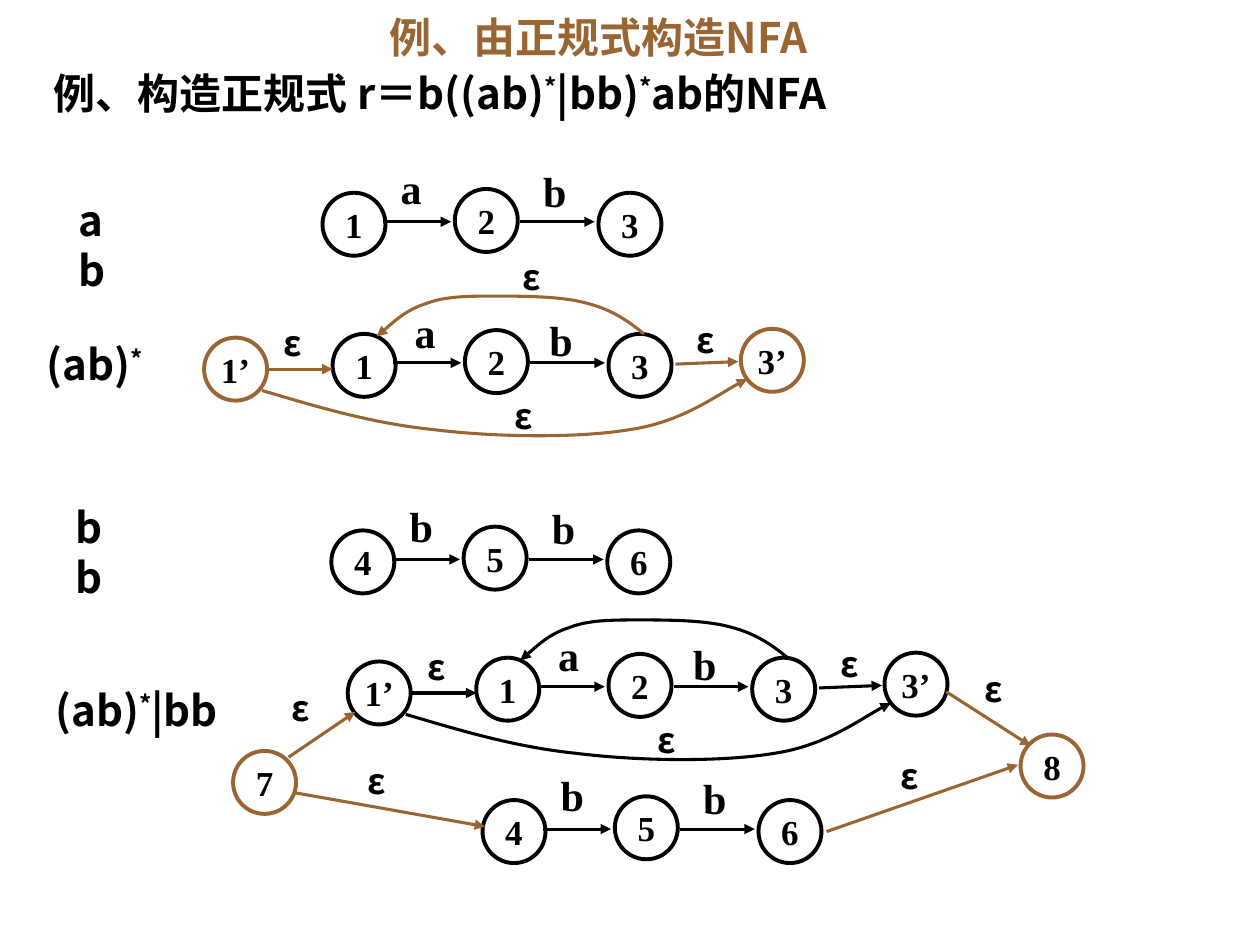
from dataclasses import dataclass

from lxml.etree import SubElement
from pptx import Presentation
from pptx.dml.color import RGBColor as Rgb
from pptx.enum.shapes import MSO_CONNECTOR as Link, MSO_SHAPE as Preset
from pptx.enum.text import MSO_ANCHOR as Anchor, MSO_AUTO_SIZE as Fit, PP_ALIGN as Align
from pptx.oxml.ns import qn
from pptx.util import Emu, Pt

PX = 9144  # 100 px to the inch
COLORS = {"ink": "000000", "new": "996633"}
SANS, SERIF = "Noto Sans CJK SC", "Times New Roman"
NODE = 50

Point = tuple[int, int]


@dataclass(frozen=True)
class Style:
    font: str
    size: int
    color: str = "ink"


@dataclass(frozen=True)
class State:
    name: str
    at: Point
    color: str = "ink"


@dataclass(frozen=True)
class Edge:
    start: Point
    end: Point
    color: str = "ink"


@dataclass(frozen=True)
class Label:
    text: str
    at: Point
    size: Point
    style: Style
    wrap: bool = False


@dataclass(frozen=True)
class Chain:
    """Three states joined by two labelled edges."""
    at: Point
    names: str
    symbols: str
    symbol_offsets: tuple[Point, Point]


HEADING = Style(SANS, 24)
TITLE = Style(SANS, 24, "new")
SYMBOL = Style(SERIF, 24)
STATE_NAME = Style(SERIF, 20)
EPSILON = Style(SANS, 20)

FLAT = ((62, -24), (175, -22))
STARRED = ((65, -22), (172, -15))
CHAINS = [
    Chain((256, 153), "123", "ab", FLAT),
    Chain((264, 265), "123", "ab", STARRED),
    Chain((263, 421), "456", "bb", FLAT),
    Chain((378, 522), "123", "ab", STARRED),
    Chain((383, 635), "456", "bb", FLAT),
]
STARS = [((264, 265), "new"), ((378, 522), "ink")]

# Curve points relative to the first state of a starred chain
REPEAT_CURVE = [(247, 0), (235, -10), (222, -19), (203, -24), (183, -30), (151, -30), (129, -30),
                (108, -30), (89, -30), (74, -24), (58, -19), (41, -3), (35, 2)]
SKIP_CURVE = [(-56, 45), (-12, 58), (31, 71), (80, 76), (128, 82), (194, 83), (236, 76),
              (277, 70), (313, 43), (329, 36)]

HEADINGS = [
    Label("ab", (62, 154), (34, 40), HEADING, wrap=True),
    Label("(ab)*", (37, 269), (79, 40), HEADING),
    Label("bb", (60, 398), (34, 40), HEADING, wrap=True),
    Label("(ab)*|bb", (44, 543), (129, 40), HEADING),
]
UNION_STATES = [State("7", (185, 596), "new"), State("8", (810, 583), "new")]
UNION_EDGES = [
    Edge((229, 601), (282, 565), "new"),
    Edge((233, 629), (385, 656), "new"),
    Edge((751, 549), (818, 592), "new"),
    Edge((656, 660), (808, 607), "new"),
]
LOOSE_EPSILONS = [(415, 203), (231, 545), (781, 530), (292, 603), (715, 599)]


def shift(origin: Point, offset: Point) -> Point:
    return origin[0] + offset[0], origin[1] + offset[1]


def emu(*lengths: int) -> list[Emu]:
    return [Emu(length * PX) for length in lengths]


def apply(target, values: dict) -> None:
    for name, value in values.items():
        setattr(target, name, value)


def write(frame, text: str, style: Style, frame_format: dict, para_format: dict) -> None:
    """Fill a text frame, raising every asterisk."""
    apply(frame, frame_format)
    para = frame.paragraphs[0]
    apply(para, para_format)
    for piece in text.replace("*", "\n*\n").split("\n"):
        if not piece:
            continue
        span = para.add_run()
        span.text = piece
        apply(span.font, {"name": style.font, "size": Pt(style.size), "bold": True})
        span.font.color.rgb = Rgb.from_string(COLORS[style.color])
        props = span.font._element
        SubElement(props, qn("a:ea")).set("typeface", style.font)
        if piece == "*":
            props.set("baseline", "30000")


def margins(size: int) -> dict:
    sides = ("left", "right", "top", "bottom")
    return {f"margin_{side}": Emu(size * PX) for side in sides}


def draw_label(page, label: Label) -> None:
    box = page.shapes.add_textbox(*emu(*label.at, *label.size))
    frame_format = margins(0) | {"word_wrap": label.wrap, "auto_size": Fit.SHAPE_TO_FIT_TEXT}
    write(box.text_frame, label.text, label.style, frame_format, {})


def draw_epsilon(page, at: Point) -> None:
    draw_label(page, Label("ε", at, (28, 33), EPSILON))


def draw_state(page, state: State) -> None:
    circle = page.shapes.add_shape(Preset.OVAL, *emu(*state.at, NODE, NODE))
    circle.shadow.inherit = False
    circle.fill.background()
    circle.line.color.rgb = Rgb.from_string(COLORS[state.color])
    circle.line.width = Pt(2.25)
    frame_format = margins(0) | {"vertical_anchor": Anchor.MIDDLE, "word_wrap": True}
    write(circle.text_frame, state.name, STATE_NAME, frame_format, {"alignment": Align.CENTER})


def point_forward(stroke, color: str) -> None:
    """Style a line or curve and put an arrowhead at its end."""
    stroke.line.color.rgb = Rgb.from_string(COLORS[color])
    stroke.line.width = Pt(1.75)
    props = stroke._element.spPr
    SubElement(props.find(qn("a:ln")), qn("a:tailEnd")).set("type", "triangle")
    SubElement(props, qn("a:effectLst"))


def draw_edge(page, edge: Edge) -> None:
    line = page.shapes.add_connector(Link.STRAIGHT, *emu(*edge.start, *edge.end))
    point_forward(line, edge.color)


def draw_curve(page, points: list[Point], color: str) -> None:
    """Draw cubic curves: a start, then two controls and an end for each."""
    start, *rest = points
    builder = page.shapes.build_freeform(*start, scale=PX)
    builder.add_line_segments(rest, close=False)
    curve = builder.convert_to_shape()
    steps = iter(curve._element.xpath(".//a:lnTo"))
    for triple in zip(steps, steps, steps):
        parent = triple[0].getparent()
        bend = SubElement(parent, qn("a:cubicBezTo"))
        for step in triple:
            bend.append(step[0])
            parent.remove(step)
    curve.fill.background()
    point_forward(curve, color)


def draw_chain(page, chain: Chain) -> None:
    for name, offset in zip(chain.names, ((0, 0), (105, -3), (219, 0))):
        draw_state(page, State(name, shift(chain.at, offset)))
    for left, right in ((48, 102), (157, 216)):
        draw_edge(page, Edge(shift(chain.at, (left, 23)), shift(chain.at, (right, 23))))
    for symbol, offset in zip(chain.symbols, chain.symbol_offsets):
        draw_label(page, Label(symbol, shift(chain.at, offset), (19, 40), SYMBOL))


def draw_star(page, origin: Point, color: str) -> None:
    """Add the outer states and ε edges around a starred chain."""
    for name, offset in (("1’", (-102, 3)), ("3’", (324, -4))):
        draw_state(page, State(name, shift(origin, offset), color))
    for start, end in (((-53, 28), (0, 28)), ((272, 24), (322, 22))):
        draw_edge(page, Edge(shift(origin, start), shift(origin, end), color))
    for curve in (REPEAT_CURVE, SKIP_CURVE):
        draw_curve(page, [shift(origin, point) for point in curve], color)
    for offset in ((-39, -10), (289, -12), (144, 48)):
        draw_epsilon(page, shift(origin, offset))


def main() -> None:
    deck = Presentation()
    deck.slide_width, deck.slide_height = emu(1000, 750)
    page = deck.slides.add_slide(deck.slide_layouts[6])

    title = page.shapes.add_textbox(*emu(25, 0, 900, 58))
    write(title.text_frame, "例、由正规式构造NFA", TITLE,
          {"word_wrap": True, "vertical_anchor": Anchor.MIDDLE}, {"alignment": Align.CENTER})
    task = page.shapes.add_textbox(*emu(33, 53, 717, 49))
    write(task.text_frame, "例、构造正规式 r＝b((ab)*|bb)*ab的NFA", HEADING,
          {"word_wrap": True}, {"line_spacing": 0.9})

    for chain in CHAINS:
        draw_chain(page, chain)
    for origin, color in STARS:
        draw_star(page, origin, color)
    for state in UNION_STATES:
        draw_state(page, state)
    for edge in UNION_EDGES:
        draw_edge(page, edge)
    for at in LOOSE_EPSILONS:
        draw_epsilon(page, at)
    for heading in HEADINGS:
        draw_label(page, heading)
    deck.save("out.pptx")


if __name__ == "__main__":
    main()
